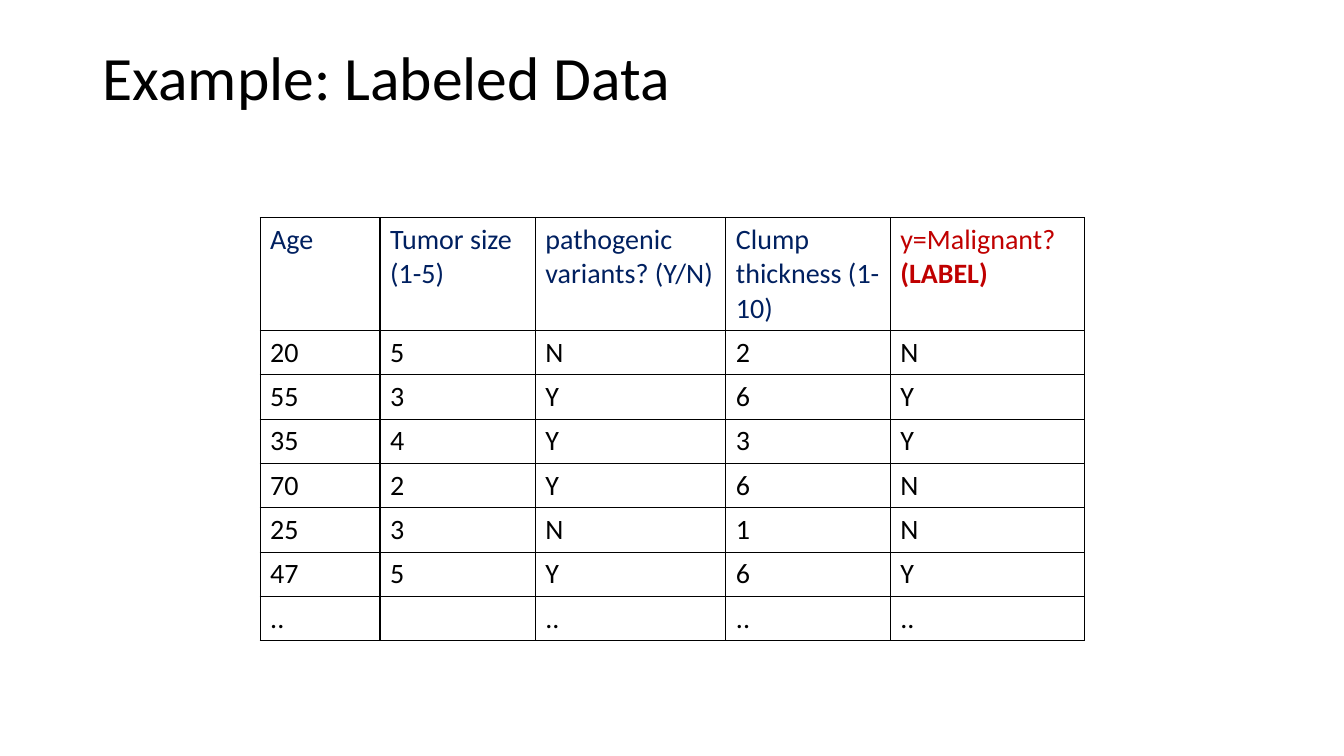
from dataclasses import dataclass

from lxml import etree
from pptx import Presentation
from pptx.dml.color import RGBColor
from pptx.enum.text import MSO_ANCHOR
from pptx.oxml.ns import qn
from pptx.util import Inches, Pt

MIDDLE = MSO_ANCHOR.MIDDLE


@dataclass(frozen=True)
class Theme:
    font: str = "Calibri"
    title_size: int = 44
    table_size: int = 20
    border_width: int = 1
    text: str = "000000"
    feature: str = "002060"
    label: str = "C00000"


THEME = Theme()

COLUMN_WIDTHS = [1.19, 1.54, 1.89, 1.63, 1.93]
HEADER_HEIGHT = 1.12
ROW_HEIGHT = 0.44

# "\n" starts a paragraph, "\v" breaks a line within one
HEADERS = ["Age", "Tumor size\n(1-5)", "pathogenic variants? (Y/N)",
           "Clump\nthickness (1-10)", "y=Malignant?\v(LABEL)"]
PATIENTS = [
    ["20", "5", "N", "2", "N"],
    ["55", "3", "Y", "6", "Y"],
    ["35", "4", "Y", "3", "Y"],
    ["70", "2", "Y", "6", "N"],
    ["25", "3", "N", "1", "N"],
    ["47", "5", "Y", "6", "Y"],
    ["..", "", "..", "..", ".."],
]


def format_text(text_frame, size, color):
    for paragraph in text_frame.paragraphs:
        paragraph.font.size = Pt(size)
        for run in paragraph.runs:
            run.font.name = THEME.font
            run.font.size = Pt(size)
            run.font.color.rgb = RGBColor.from_string(color)


def add_borders(cell):
    properties = cell._tc.get_or_add_tcPr()
    for position, side in enumerate(("a:lnL", "a:lnR", "a:lnT", "a:lnB")):
        line = etree.Element(qn(side), w=str(Pt(THEME.border_width)))
        fill = etree.SubElement(line, qn("a:solidFill"))
        etree.SubElement(fill, qn("a:srgbClr"), val=THEME.text)
        properties.insert(position, line)


def add_title(slide, left, top, width, height):
    box = slide.shapes.add_textbox(Inches(left), Inches(top), Inches(width), Inches(height))
    text_frame = box.text_frame
    text_frame.word_wrap = True
    text_frame.vertical_anchor = MIDDLE
    text_frame.text = "Example: Labeled Data"
    text_frame.paragraphs[0].line_spacing = 0.9
    format_text(text_frame, THEME.title_size, THEME.text)


def add_patient_table(slide, left, top):
    rows = [HEADERS] + PATIENTS
    height = HEADER_HEIGHT + ROW_HEIGHT * len(PATIENTS)
    table = slide.shapes.add_table(
        len(rows), len(HEADERS), Inches(left), Inches(top),
        Inches(sum(COLUMN_WIDTHS)), Inches(height)).table
    table.first_row = False
    table.horz_banding = False

    # Grid sizes
    for column, width in zip(table.columns, COLUMN_WIDTHS):
        column.width = Inches(width)
    for index, row in enumerate(table.rows):
        row.height = Inches(ROW_HEIGHT if index else HEADER_HEIGHT)

    # Cell contents
    for row_index, values in enumerate(rows):
        for column_index, value in enumerate(values):
            cell = table.cell(row_index, column_index)
            cell.text_frame.text = value
            color = THEME.text if row_index else THEME.feature
            format_text(cell.text_frame, THEME.table_size, color)
            cell.fill.background()
            add_borders(cell)

    # The label column stands out in the header
    label_frame = table.cell(0, len(HEADERS) - 1).text_frame
    format_text(label_frame, THEME.table_size, THEME.label)
    label_frame.paragraphs[0].runs[-1].font.bold = True


def main():
    presentation = Presentation()
    presentation.slide_width = Inches(13.33)
    presentation.slide_height = Inches(7.5)
    slide = presentation.slides.add_slide(presentation.slide_layouts[6])
    add_title(slide, 0.92, 0.4, 11.21, 0.79)
    add_patient_table(slide, 2.58, 2.16)
    presentation.save("out.pptx")


if __name__ == "__main__":
    main()
